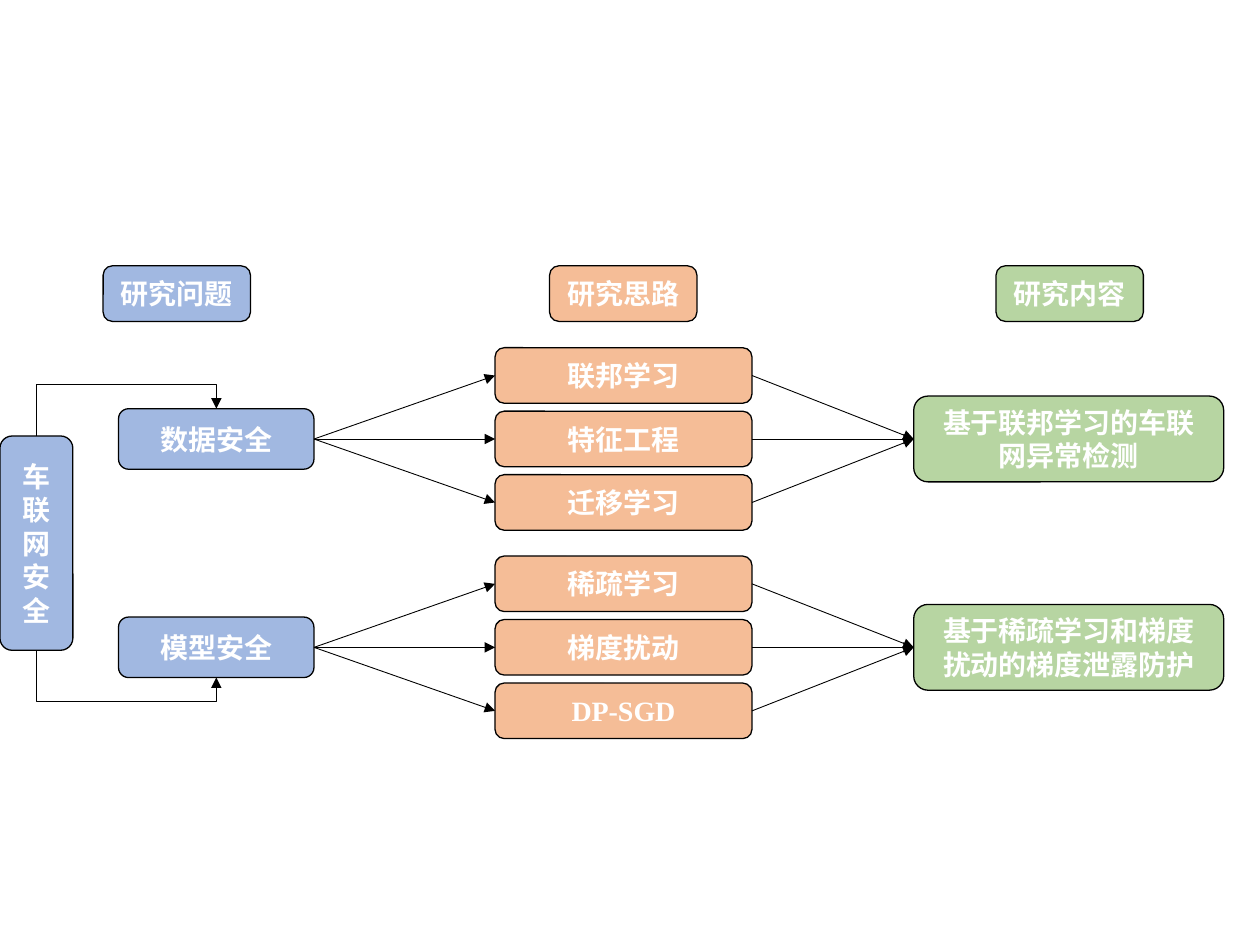
"""Build the research outline slide on vehicle network security."""
from lxml.etree import SubElement
from pptx import Presentation
from pptx.dml.color import RGBColor
from pptx.enum.shapes import MSO_CONNECTOR, MSO_SHAPE
from pptx.enum.text import MSO_ANCHOR, PP_ALIGN
from pptx.oxml.ns import qn
from pptx.util import Cm, Pt

BLUE = RGBColor(0x44, 0x72, 0xC4)
ORANGE = RGBColor(0xED, 0x7D, 0x31)
GREEN = RGBColor(0x70, 0xAD, 0x47)
BLACK = RGBColor(0, 0, 0)
WHITE = RGBColor(0xFF, 0xFF, 0xFF)

LABEL_FORMAT = {"name": "Times New Roman", "size": Pt(16), "bold": True}
HEADINGS = [("研究问题", BLUE), ("研究思路", ORANGE), ("研究内容", GREEN)]
BRANCHES = [
    ("数据安全", ["联邦学习", "特征工程", "迁移学习"], "基于联邦学习的车联网异常检测"),
    ("模型安全", ["稀疏学习", "梯度扰动", "DP-SGD"], "基于稀疏学习和梯度扰动的梯度泄露防护"),
]

HEADING_LEFT, HEADING_MIDDLE, HEADING_PITCH = 2.08, 5.92, 9
HEADING_SIZE = (2.97, 1.12)
ROOT_MIDDLE, ROOT_SIZE = 10.95, (1.47, 4.32)
PROBLEM_LEFT, PROBLEM_SIZE = 2.39, (3.94, 1.22)
IDEA_LEFT, IDEA_SIZE, IDEA_PITCH = 9.98, (5.18, 1.12), 1.28
CONTENT_LEFT, CONTENT_SIZE = 18.42, (6.25, 1.73)
BRANCH_MIDDLE, BRANCH_PITCH = 8.85, 4.2
DETOUR = 1.04


def add_box(slide, label, colour, left, middle, size):
    """Add a half-transparent rounded box centred vertically on middle."""
    width, height = size
    box = slide.shapes.add_shape(
        MSO_SHAPE.ROUNDED_RECTANGLE,
        Cm(left), Cm(middle - height / 2), Cm(width), Cm(height),
    )
    box.shadow.inherit = False
    box.fill.solid()
    box.fill.fore_color.rgb = colour
    tint = box.fill._xPr.find(qn("a:solidFill"))[0]
    SubElement(tint, qn("a:alpha"), val="50000")
    box.line.color.rgb = BLACK
    box.line.width = Pt(0.75)
    frame = box.text_frame
    frame.word_wrap = True
    frame.vertical_anchor = MSO_ANCHOR.MIDDLE
    paragraph = frame.paragraphs[0]
    paragraph.alignment = PP_ALIGN.CENTER
    run = paragraph.add_run()
    run.text = label
    for attribute, value in LABEL_FORMAT.items():
        setattr(run.font, attribute, value)
    run.font.color.rgb = WHITE


def add_arrow(slide, start, end, kind=MSO_CONNECTOR.STRAIGHT):
    """Add a thin black connector with a triangle at its end."""
    arrow = slide.shapes.add_connector(kind, *map(Cm, start + end))
    arrow.line.color.rgb = BLACK
    arrow.line.width = Pt(0.5)
    SubElement(arrow.line._get_or_add_ln(), qn("a:tailEnd"), type="triangle")
    SubElement(arrow._element.spPr, qn("a:effectLst"))
    return arrow


def add_detour_arrow(slide, start, end):
    """Add an elbow arrow that leaves vertically, passes the target and turns back."""
    across, drop = end[0] - start[0], end[1] - start[1]
    centre_x, centre_y = (start[0] + end[0]) / 2, (start[1] + end[1]) / 2
    half_width = abs(drop) / 2
    half_height = across / 2 if drop < 0 else -across / 2
    arrow = add_arrow(
        slide,
        (centre_x + half_width, centre_y + half_height),
        (centre_x - half_width, centre_y - half_height),
        MSO_CONNECTOR.ELBOW,
    )
    properties = arrow._element.spPr
    degrees = 90 if drop < 0 else 270
    properties.find(qn("a:xfrm")).set("rot", str(degrees * 60000))
    adjustments = properties.find(qn("a:prstGeom")).find(qn("a:avLst"))
    bend = round(DETOUR / abs(drop) * 100000)
    SubElement(adjustments, qn("a:gd"), name="adj1", fmla=f"val {bend}")


def add_branch(slide, middle, problem, ideas, content):
    """Add a problem, its ideas and the resulting content, joined by arrows."""
    add_box(slide, problem, BLUE, PROBLEM_LEFT, middle, PROBLEM_SIZE)
    add_box(slide, content, GREEN, CONTENT_LEFT, middle, CONTENT_SIZE)
    for index, idea in enumerate(ideas):
        idea_middle = middle + (index - 1) * IDEA_PITCH
        add_box(slide, idea, ORANGE, IDEA_LEFT, idea_middle, IDEA_SIZE)
        add_arrow(slide, (PROBLEM_LEFT + PROBLEM_SIZE[0], middle), (IDEA_LEFT, idea_middle))
        add_arrow(slide, (IDEA_LEFT + IDEA_SIZE[0], idea_middle), (CONTENT_LEFT, middle))


def main():
    """Lay out the headings, the root topic and its branches."""
    deck = Presentation()
    deck.slide_width, deck.slide_height = Cm(25.4), Cm(19.05)
    slide = deck.slides.add_slide(deck.slide_layouts[6])
    for index, (heading, colour) in enumerate(HEADINGS):
        left = HEADING_LEFT + index * HEADING_PITCH
        add_box(slide, heading, colour, left, HEADING_MIDDLE, HEADING_SIZE)
    add_box(slide, "车联网安全", BLUE, 0, ROOT_MIDDLE, ROOT_SIZE)
    for index, branch in enumerate(BRANCHES):
        middle = BRANCH_MIDDLE + index * BRANCH_PITCH
        add_branch(slide, middle, *branch)
        side = 2 * index - 1
        add_detour_arrow(
            slide,
            (ROOT_SIZE[0] / 2, ROOT_MIDDLE + side * ROOT_SIZE[1] / 2),
            (PROBLEM_LEFT + PROBLEM_SIZE[0] / 2, middle + side * PROBLEM_SIZE[1] / 2),
        )
    deck.save("out.pptx")


if __name__ == "__main__":
    main()
